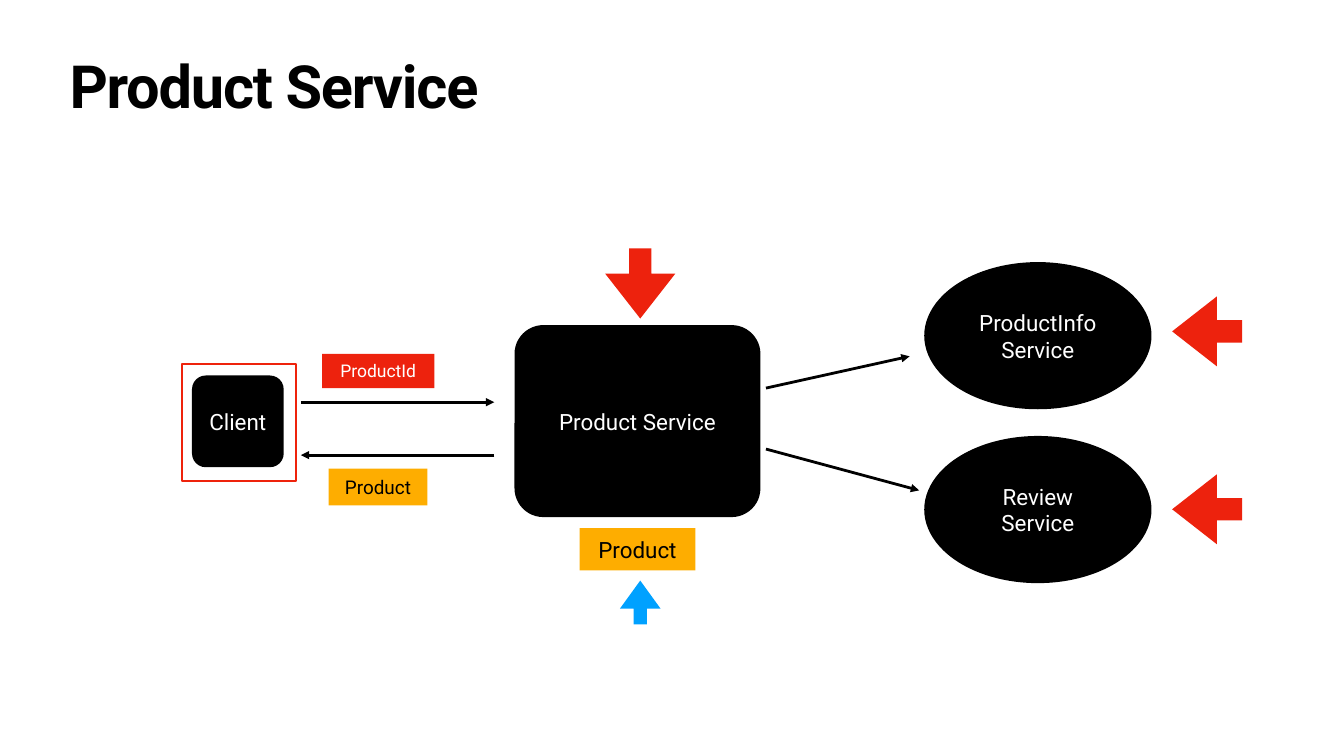
from pptx import Presentation
from pptx.dml.color import RGBColor
from pptx.enum.shapes import MSO_CONNECTOR as Connector, MSO_SHAPE as Shape
from pptx.enum.text import MSO_ANCHOR as Anchor, PP_ALIGN as Align
from pptx.oxml.ns import qn
from pptx.util import Inches, Pt
from lxml.etree import SubElement

BLACK = RGBColor(0x00, 0x00, 0x00)
WHITE = RGBColor(0xFF, 0xFF, 0xFF)
RED = RGBColor(0xED, 0x22, 0x0D)
FRAME_RED = RGBColor(0xEE, 0x23, 0x0C)
AMBER = RGBColor(0xFE, 0xAD, 0x00)
BLUE = RGBColor(0x00, 0xA1, 0xFF)


class Diagram:
    """Draws styled diagram elements on one slide."""

    font = "Roboto"
    inset = Inches(0.06)
    line_width = Pt(4)

    def __init__(self, slide):
        self.slide = slide

    def label(self, shape, lines, size, color, align, anchor):
        frame = shape.text_frame
        frame.word_wrap = True
        frame.vertical_anchor = anchor
        frame.margin_left = frame.margin_right = self.inset
        frame.margin_top = frame.margin_bottom = self.inset
        for index, line in enumerate(lines):
            paragraph = frame.add_paragraph() if index else frame.paragraphs[0]
            paragraph.alignment = align
            run = paragraph.add_run()
            run.text = line
            run.font.name = self.font
            run.font.size = Pt(size)
            run.font.color.rgb = color
        return frame

    def title(self, text, box):
        shape = self.slide.shapes.add_textbox(*map(Inches, box))
        frame = self.label(shape, [text], 85, BLACK, Align.LEFT, Anchor.TOP)
        paragraph = frame.paragraphs[0]
        paragraph.line_spacing = 0.8
        run = paragraph.runs[0]
        run.font.bold = True
        run._r.get_or_add_rPr().set("spc", "-170")

    def shape(self, kind, box, fill, adjustments=()):
        shape = self.slide.shapes.add_shape(kind, *map(Inches, box))
        shape.shadow.inherit = False
        shape.fill.solid()
        shape.fill.fore_color.rgb = fill
        shape.line.fill.background()
        for index, value in enumerate(adjustments):
            shape.adjustments[index] = value
        return shape

    def node(self, kind, box, lines, fill=BLACK, color=WHITE, size=32, adjustments=()):
        shape = self.shape(kind, box, fill, adjustments)
        self.label(shape, lines, size, color, Align.CENTER, Anchor.MIDDLE)

    def frame(self, box, color):
        shape = self.shape(Shape.RECTANGLE, box, color)
        shape.fill.background()
        shape.line.color.rgb = color
        shape.line.width = Pt(3)

    def arrow(self, start, end):
        connector = self.slide.shapes.add_connector(
            Connector.STRAIGHT, *map(Inches, (*start, *end)))
        connector.line.color.rgb = BLACK
        connector.line.width = self.line_width
        SubElement(connector.line._get_or_add_ln(), qn("a:tailEnd"), type="triangle")
        SubElement(connector._element.spPr, qn("a:effectLst"))


def main():
    presentation = Presentation()
    presentation.slide_width = Inches(26.67)
    presentation.slide_height = Inches(15)
    diagram = Diagram(presentation.slides.add_slide(presentation.slide_layouts[6]))

    diagram.title("Product Service", (1.32, 1.18, 24.03, 1.57))

    for box, text in (
        ((10.21, 6.45, 4.88, 3.81), "Product Service"),
        ((3.81, 7.45, 1.82, 1.82), "Client"),
    ):
        diagram.node(Shape.ROUNDED_RECTANGLE, box, [text], adjustments=[0.15])

    for top, name in ((5.2, "ProductInfo"), (8.65, "Review")):
        diagram.node(Shape.OVAL, (18.34, top, 4.51, 2.92), [name, "Service"])

    for start, end in (
        ((9.81, 9.03), (5.97, 9.03)),
        ((15.2, 7.7), (18.05, 7.07)),
        ((15.2, 8.91), (18.24, 9.73)),
        ((5.97, 7.98), (9.81, 7.98)),
    ):
        diagram.arrow(start, end)

    for box, text, fill, color, size in (
        ((6.39, 7.02, 2.23, 0.68), "ProductId", RED, WHITE, 25),
        ((6.52, 9.3, 1.96, 0.73), "Product", AMBER, BLACK, 27),
        ((11.5, 10.48, 2.3, 0.84), "Product", AMBER, BLACK, 32),
    ):
        diagram.node(Shape.RECTANGLE, box, [text], fill, color, size)

    for kind, left, top in (
        (Shape.DOWN_ARROW, 12.01, 4.93),
        (Shape.LEFT_ARROW, 23.26, 5.88),
        (Shape.LEFT_ARROW, 23.26, 9.41),
    ):
        diagram.shape(kind, (left, top, 1.39, 1.39), RED, (0.32, 0.64))

    diagram.frame((3.62, 7.23, 2.26, 2.32), FRAME_RED)
    diagram.shape(Shape.UP_ARROW, (12.3, 11.52, 0.81, 0.87), BLUE, (0.32, 0.69))

    presentation.save("out.pptx")


if __name__ == "__main__":
    main()
